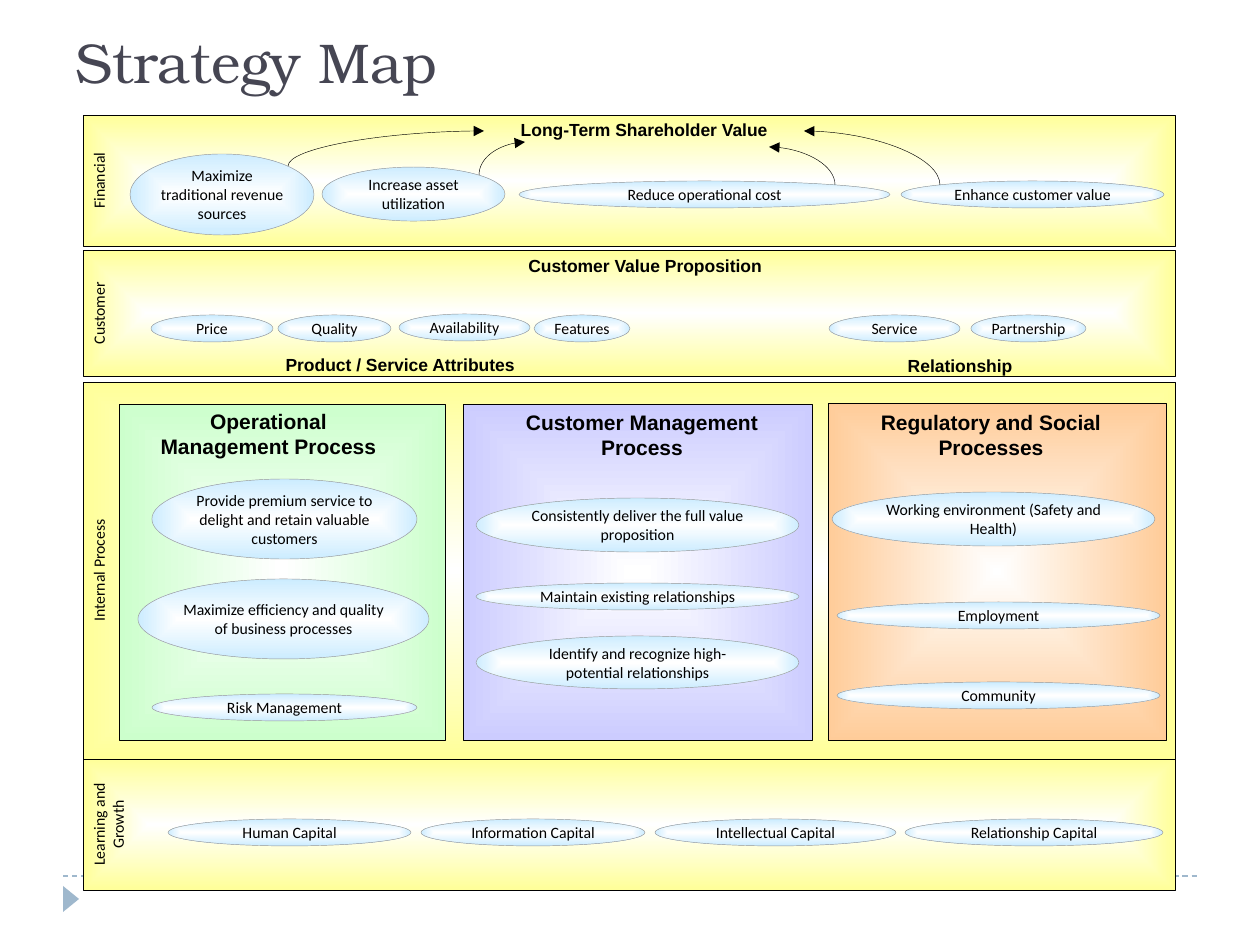
from lxml import etree
from pptx import Presentation
from pptx.dml.color import RGBColor
from pptx.enum.dml import MSO_LINE
from pptx.enum.shapes import MSO_CONNECTOR as Connector, MSO_SHAPE as Shape
from pptx.enum.text import MSO_ANCHOR as Anchor, PP_ALIGN as Align
from pptx.oxml.ns import qn
from pptx.util import Emu, Pt

SCALE = 914400 / 126
BAND_LEFT, BAND_WIDTH = 83, 1092

BANDS = [
    ("Internal Process", 382, 377),
    ("Customer", 250, 126),
    ("Financial", 115, 131),
    ("Learning and Growth", 759, 131),
]
PANELS = [
    ((119, 404, 326, 336), "CCFFCC"),
    ((463, 404, 349, 336), "CCCCFF"),
    ((828, 403, 338, 337), "FFCC99"),
]
PANEL_HEADINGS = [
    ("Operational Management Process", 137, 402, 263, 63),
    ("Customer Management Process", 495, 403, 294, 63),
    ("Regulatory and Social Processes", 868, 403, 246, 102),
]
BAND_HEADINGS = [
    ("Long-Term Shareholder Value", 484, 115, 320, 32),
    ("Customer Value Proposition", 389, 251, 512, 32),
    ("Product / Service Attributes", 144, 350, 512, 32),
    ("Relationship", 704, 351, 512, 32),
]
OVALS = [
    ("Maximize traditional revenue sources", 130, 154, 184, 81),
    ("Increase asset utilization", 322, 167, 183, 54),
    ("Reduce operational cost", 519, 181, 371, 27),
    ("Enhance customer value", 901, 181, 263, 27),
    ("Price", 151, 315, 122, 27),
    ("Quality", 278, 315, 113, 27),
    ("Availability", 399, 314, 131, 27),
    ("Features", 534, 315, 96, 27),
    ("Service", 829, 315, 131, 27),
    ("Partnership", 971, 315, 115, 27),
    ("Provide premium service to delight and retain valuable customers", 152, 479, 265, 80),
    ("Maximize efficiency and quality of business processes", 138, 579, 291, 80),
    ("Risk Management", 152, 694, 265, 27),
    ("Consistently deliver the full value proposition", 476, 498, 323, 54),
    ("Maintain existing relationships", 476, 583, 323, 27),
    ("Identify and recognize high-potential relationships", 476, 636, 323, 53),
    ("Working environment (Safety and Health)", 832, 492, 323, 54),
    ("Employment", 837, 602, 323, 27),
    ("Community", 837, 682, 323, 27),
    ("Human Capital", 168, 819, 243, 27),
    ("Information Capital", 421, 819, 224, 27),
    ("Intellectual Capital", 655, 819, 241, 27),
    ("Relationship Capital", 905, 819, 258, 27),
]
CURVES = [
    ((288, 166), (484, 131)),
    ((479, 175), (525, 142)),
    ((835, 185), (769, 147)),
    ((940, 185), (804, 131)),
]


def px(value):
    return Emu(round(value * SCALE))


def color(value):
    return RGBColor.from_string(value)


def write(box, text, font, size, shade="000000", align=Align.CENTER, bold=False):
    frame = box.text_frame
    frame.word_wrap = True
    frame.text = text
    para = frame.paragraphs[0]
    para.alignment = align
    span = para.runs[0]
    span.font.name = font
    span.font.size = Pt(size)
    span.font.bold = bold
    span.font.color.rgb = color(shade)
    return frame


def glow(shape, edge):
    fill = shape.fill
    fill.gradient()
    for stop, shade in zip(fill.gradient_stops, ("FFFFFF", edge)):
        stop.color.rgb = color(shade)
    gradient = shape._element.spPr.find(qn("a:gradFill"))
    gradient.remove(gradient.find(qn("a:lin")))
    route = etree.SubElement(gradient, qn("a:path"), path="shape")
    etree.SubElement(route, qn("a:fillToRect"), l="50000", t="50000", r="50000", b="50000")


def add_glowing(page, kind, bounds, edge, outline="000000"):
    shape = page.shapes.add_shape(kind, *map(px, bounds))
    shape.shadow.inherit = False
    glow(shape, edge)
    shape.line.color.rgb = color(outline)
    shape.line.width = Pt(0.25)
    return shape


def add_band(page, label, top, height):
    left = BAND_LEFT + (BAND_WIDTH - height) / 2
    turned_top = top + (height - BAND_WIDTH) / 2
    band = add_glowing(page, Shape.RECTANGLE, (left, turned_top, height, BAND_WIDTH), "FFFF99")
    band.rotation = 270
    write(band, label, "Calibri", 9).vertical_anchor = Anchor.TOP


def add_oval(page, label, *bounds):
    oval = add_glowing(page, Shape.OVAL, bounds, "CCECFF", "969696")
    frame = write(oval, label, "Calibri", 9)
    frame.vertical_anchor = Anchor.MIDDLE
    frame.margin_left = frame.margin_right = frame.margin_top = frame.margin_bottom = 0


def add_heading(page, text, left, top, width, height, size, spacing=1.0):
    box = page.shapes.add_textbox(*map(px, (left, top, width, height)))
    frame = write(box, text, "Arial", size, bold=True)
    frame.paragraphs[0].line_spacing = spacing


def add_line(page, kind, start, end, shade, width):
    line = page.shapes.add_connector(kind, *map(px, (*start, *end)))
    line.line.color.rgb = color(shade)
    line.line.width = Pt(width)
    etree.SubElement(line._element.spPr, qn("a:effectLst"))
    return line


def add_curved_arrow(page, start, end):
    center_x, center_y = (start[0] + end[0]) / 2, (start[1] + end[1]) / 2
    half_run, half_rise = abs(end[0] - start[0]) / 2, abs(end[1] - start[1]) / 2
    side = 1 if end[0] > start[0] else -1
    turned_start = (center_x + side * half_rise, center_y + half_run)
    turned_end = (center_x - side * half_rise, center_y - half_run)
    arrow = add_line(page, Connector.CURVE, turned_start, turned_end, "000000", 0.25)
    properties = arrow._element.spPr
    properties.find(qn("a:xfrm")).set("rot", str((90 if side > 0 else 270) * 60000))
    properties.find(qn("a:prstGeom")).set("prst", "curvedConnector2")
    etree.SubElement(properties.find(qn("a:ln")), qn("a:tailEnd"), type="triangle")


def add_footer_marks(page):
    rule = add_line(page, Connector.STRAIGHT, (63, 876), (1197, 876), "9FB8CD", 0.75)
    rule.line.dash_style = MSO_LINE.DASH
    marker = page.shapes.add_shape(Shape.ISOSCELES_TRIANGLE, *map(px, (58, 891, 26, 16)))
    marker.rotation = 90
    marker.shadow.inherit = False
    marker.fill.solid()
    marker.fill.fore_color.rgb = color("9FB8CD")
    marker.line.fill.background()


def set_title(page, text):
    title = page.shapes.title
    title.left, title.top, title.width, title.height = map(px, (63, 21, 1134, 136))
    frame = write(title, text, "TeX Gyre Bonum", 32, "464653", Align.LEFT)
    frame.vertical_anchor = Anchor.TOP


def main():
    deck = Presentation()
    deck.slide_width, deck.slide_height = px(1260), px(945)
    page = deck.slides.add_slide(deck.slide_layouts[5])
    set_title(page, "Strategy Map")
    add_footer_marks(page)
    for band in BANDS:
        add_band(page, *band)
    for bounds, edge in PANELS:
        add_glowing(page, Shape.RECTANGLE, bounds, edge)
    for heading in BAND_HEADINGS:
        add_heading(page, *heading, size=10, spacing=0.9)
    for heading in PANEL_HEADINGS:
        add_heading(page, *heading, size=12)
    for oval in OVALS:
        add_oval(page, *oval)
    for start, end in CURVES:
        add_curved_arrow(page, start, end)
    deck.save("out.pptx")


if __name__ == "__main__":
    main()
